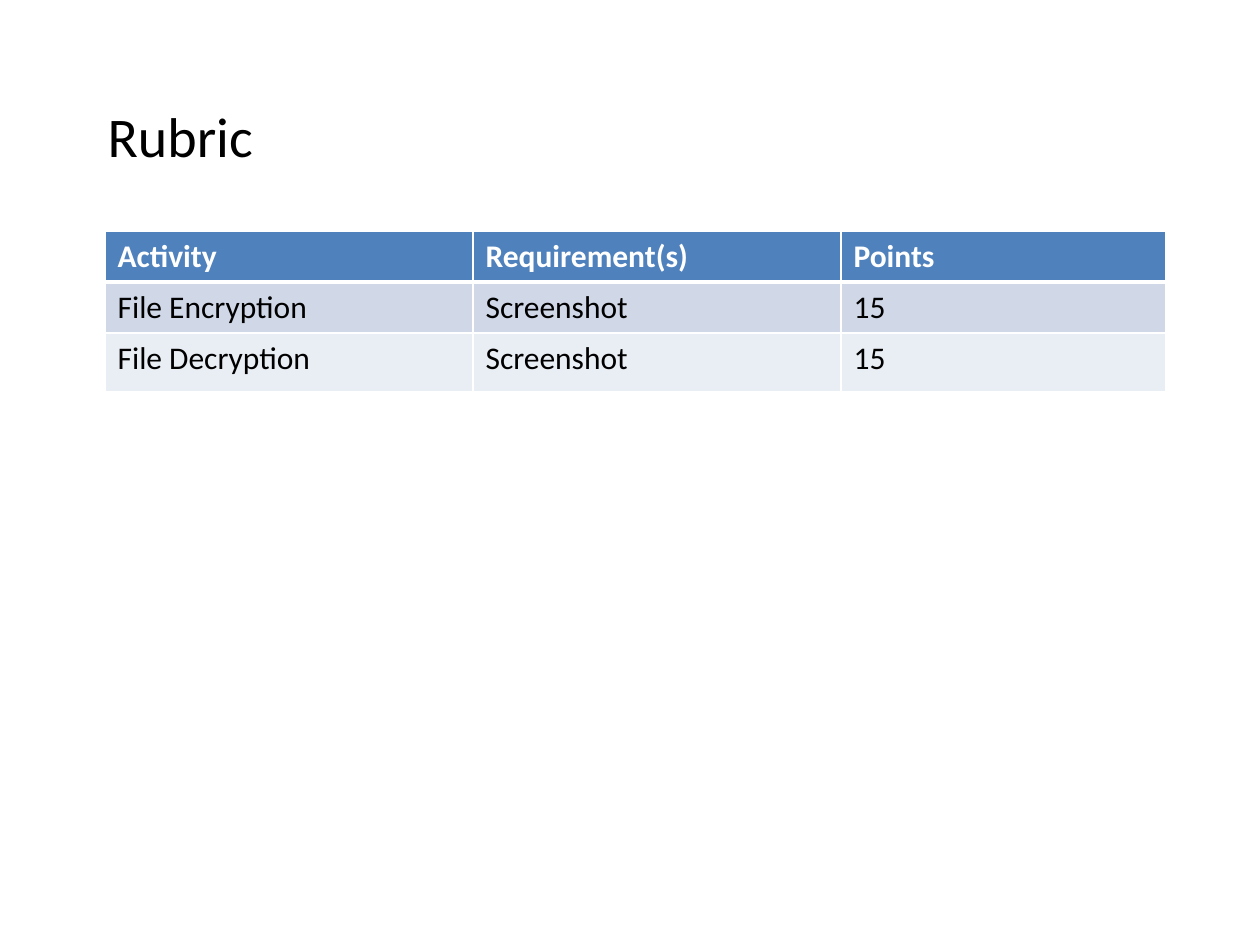
import pptx
import pptx.dml.color
import pptx.oxml
import pptx.oxml.ns
import pptx.util

RGBColor = pptx.dml.color.RGBColor
BLACK = RGBColor(0x00, 0x00, 0x00)
WHITE = RGBColor(0xFF, 0xFF, 0xFF)
HEADER_BLUE = RGBColor(0x4F, 0x81, 0xBD)
BAND_COLORS = (RGBColor(0xD0, 0xD8, 0xE8), RGBColor(0xE9, 0xED, 0xF4))
EMU_PER_PX = 914400 / 126
NAMESPACE = pptx.oxml.ns.nsdecls("a")
RUBRIC = (
    ("Activity", "Requirement(s)", "Points"),
    ("File Encryption", "Screenshot", "15"),
    ("File Decryption", "Screenshot", "15"),
)


def px(length):
    return pptx.util.Emu(round(length * EMU_PER_PX))


class RubricSlide:
    """Hold the text style and the current slide, and add its elements."""

    font_name = "Calibri"

    def __init__(self, presentation):
        self.slide = presentation.slides.add_slide(presentation.slide_layouts[1])
        title = self.slide.shapes.title
        title.element.getparent().remove(title.element)

    def style(self, paragraph, size, color, bold=False):
        for run in paragraph.runs:
            run.font.name = self.font_name
            run.font.size = pptx.util.Pt(size)
            run.font.color.rgb = color
            run.font.bold = bold

    def heading(self, text, left, top, width, height):
        body = self.slide.placeholders[1]
        body.left, body.top, body.width, body.height = map(px, (left, top, width, height))
        body.text_frame.text = text
        paragraph = body.text_frame.paragraphs[0]
        properties = paragraph._p.get_or_add_pPr()
        properties.append(pptx.oxml.parse_xml(f"<a:buNone {NAMESPACE}/>"))
        self.style(paragraph, 32, BLACK)

    def border(self, cell, side, points):
        line = pptx.oxml.parse_xml(
            f'<a:ln{side} {NAMESPACE} w="{pptx.util.Pt(points)}">'
            f'<a:solidFill><a:srgbClr val="{WHITE}"/></a:solidFill></a:ln{side}>'
        )
        cell._tc.get_or_add_tcPr().append(line)

    def cell(self, cell, text, row):
        header = row == 0
        cell.text_frame.text = text
        self.style(cell.text_frame.paragraphs[0], 18, WHITE if header else BLACK, header)
        self.border(cell, "L", 1)
        self.border(cell, "R", 1)
        self.border(cell, "T", 3 if row == 1 else 1)
        self.border(cell, "B", 3 if header else 1)
        cell.fill.solid()
        cell.fill.fore_color.rgb = HEADER_BLUE if header else BAND_COLORS[(row - 1) % 2]

    def table(self, rows, left, top, widths, heights):
        frame = self.slide.shapes.add_table(
            len(rows), len(widths), px(left), px(top), px(sum(widths)), px(sum(heights))
        )
        for column, width in zip(frame.table.columns, widths):
            column.width = px(width)
        for index, (texts, height) in enumerate(zip(rows, heights)):
            frame.table.rows[index].height = px(height)
            for column, text in enumerate(texts):
                self.cell(frame.table.cell(index, column), text, index)


def main():
    presentation = pptx.Presentation()
    presentation.slide_width, presentation.slide_height = px(1260), px(945)
    rubric = RubricSlide(presentation)
    rubric.heading("Rubric", 95, 95, 1134, 624)
    rubric.table(RUBRIC, 105, 231, (368, 368, 325), (51, 51, 59))
    presentation.save("out.pptx")


if __name__ == "__main__":
    main()
